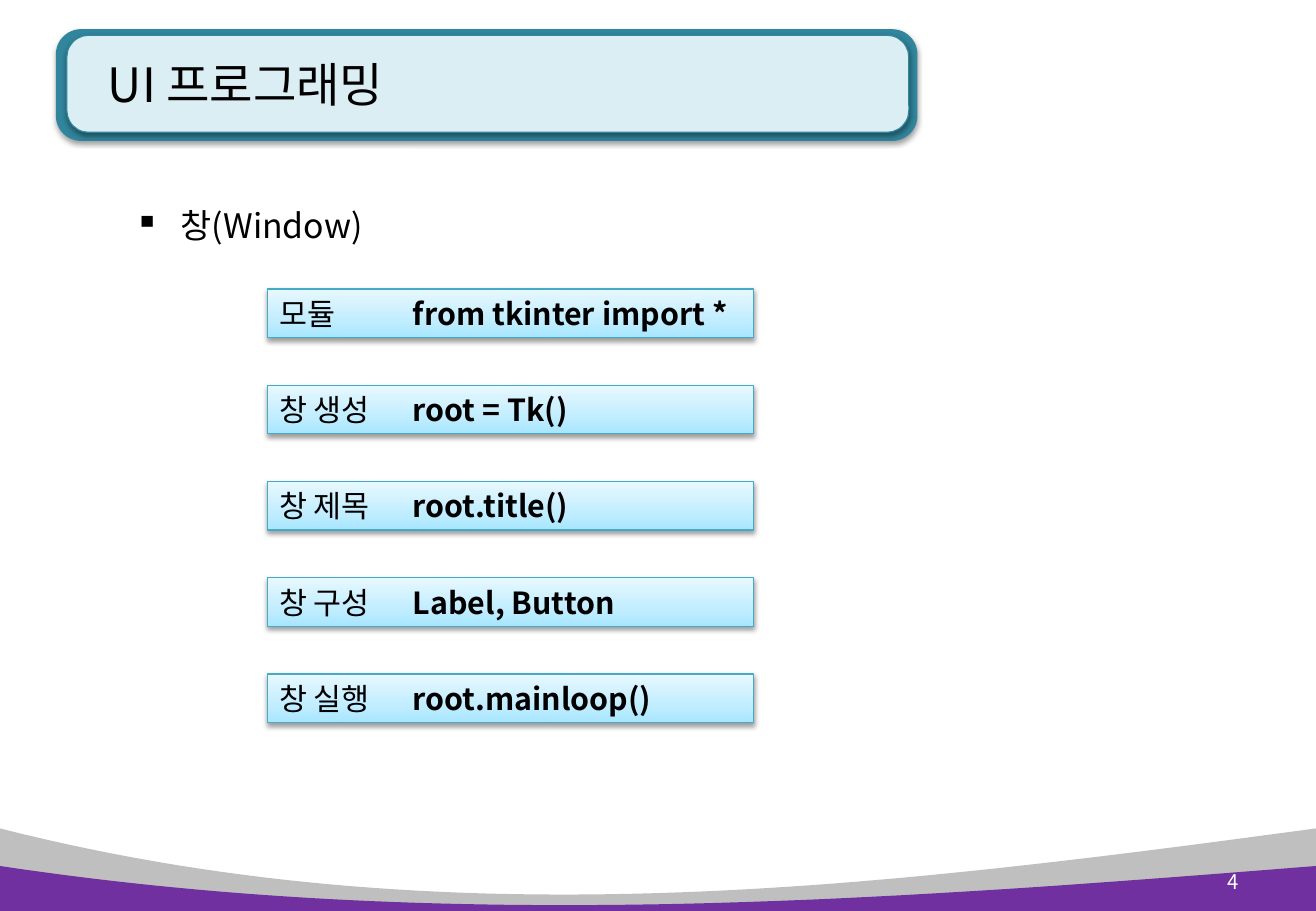
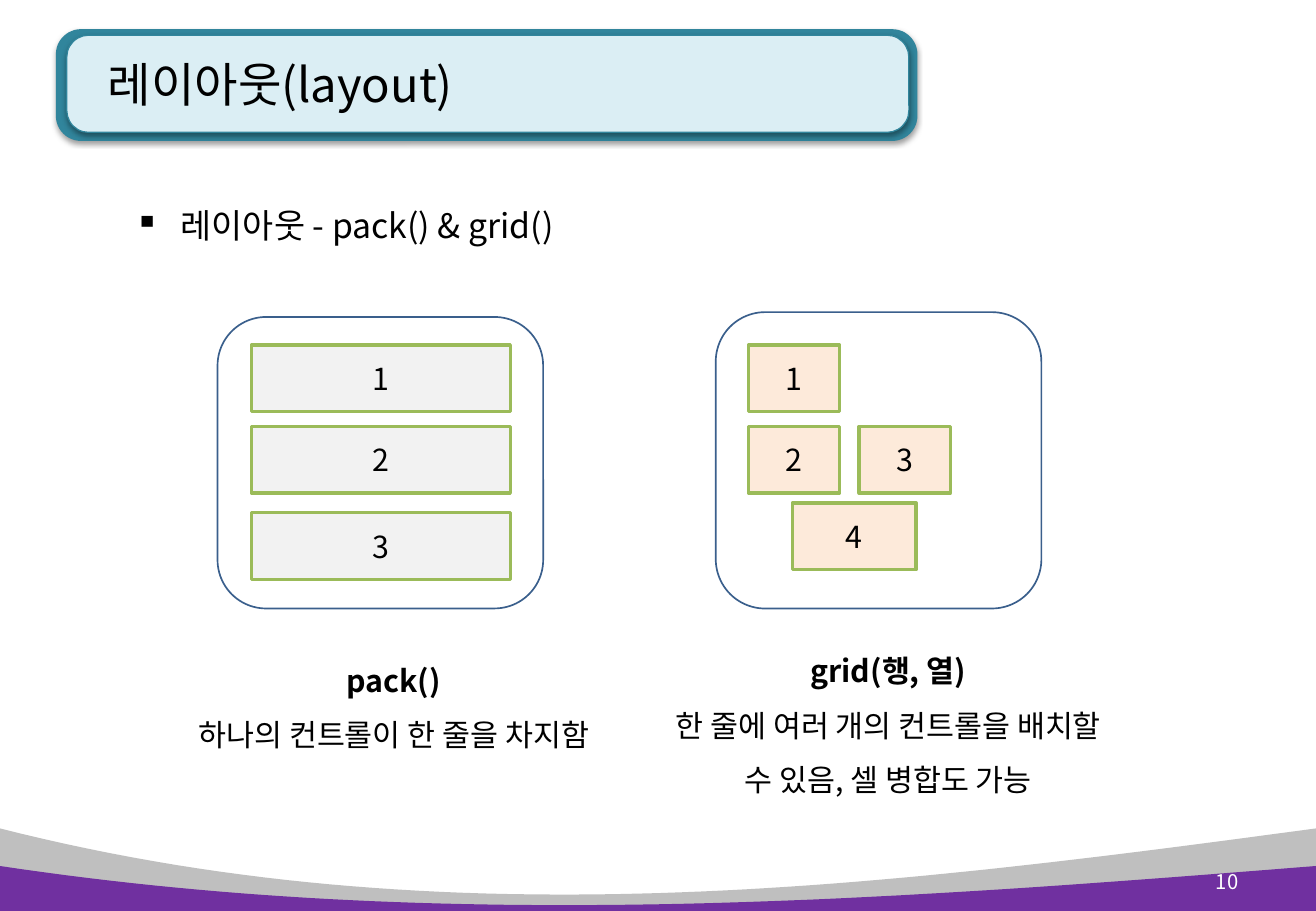
from copy import deepcopy

from lxml import etree
from pptx import Presentation
from pptx.dml.color import RGBColor
from pptx.enum.shapes import MSO_SHAPE
from pptx.enum.text import MSO_ANCHOR, MSO_AUTO_SIZE, PP_ALIGN
from pptx.oxml.ns import qn
from pptx.util import Emu, Inches, Pt

RECTANGLE = MSO_SHAPE.RECTANGLE
ROUNDED = MSO_SHAPE.ROUNDED_RECTANGLE
TOP, MIDDLE = MSO_ANCHOR.TOP, MSO_ANCHOR.MIDDLE
LEFT, CENTER, RIGHT = PP_ALIGN.LEFT, PP_ALIGN.CENTER, PP_ALIGN.RIGHT
GROW, FIXED = MSO_AUTO_SIZE.SHAPE_TO_FIT_TEXT, MSO_AUTO_SIZE.NONE

WIDTH, HEIGHT = 10.83, 7.5
FONT = "Noto Sans CJK KR"
BLACK, WHITE = "000000", "FFFFFF"
TEAL, PALE_TEAL = "31859C", "DBEEF4"
GRAY, PURPLE = "BFBFBF", "7030A0"
CODE_LINE, FRAME_LINE, CONTROL_LINE = "46AAC5", "3A5F8C", "9BBB59"
PACK_FILL, GRID_FILL = "F2F2F2", "FDEADA"
CODE_GRADIENT = [(0, "A7E6FF"), (0.35, "C1EDFF"), (1, "E7F8FF")]


def color(value):
    return RGBColor.from_string(value)


def add_element(parent, tag, **attributes):
    element = etree.SubElement(parent, qn(tag))
    for name, value in attributes.items():
        element.set(name, str(value))
    return element


def write_text(shape, paragraphs, size=18, text_color=BLACK, align=LEFT,
               anchor=TOP, grow=False, spacing=None, bullet=None, tab=None):
    frame = shape.text_frame
    frame.word_wrap = True
    frame.auto_size = GROW if grow else FIXED
    frame.vertical_anchor = anchor
    for index, runs in enumerate(paragraphs):
        paragraph = frame.add_paragraph() if index else frame.paragraphs[0]
        properties = paragraph._p.get_or_add_pPr()
        if bullet:
            indent = Inches(0.38)
            properties.set("marL", str(indent))
            properties.set("indent", str(-indent))
            add_element(properties, "a:buChar", char=bullet)
        if tab:
            tabs = add_element(properties, "a:tabLst")
            add_element(tabs, "a:tab", pos=Inches(tab), algn="l")
        paragraph.alignment = align
        if spacing:
            paragraph.line_spacing = spacing
        for text, bold in runs:
            run = paragraph.add_run()
            run.text = text
            run.font.size = Pt(size)
            run.font.bold = bold
            run.font.color.rgb = color(text_color)
            run.font.name = FONT
            add_element(run._r.get_or_add_rPr(), "a:ea", typeface=FONT)


class Deck:
    def __init__(self):
        self.presentation = Presentation()
        self.presentation.slide_width = Inches(WIDTH)
        self.presentation.slide_height = Inches(HEIGHT)
        self.slide = None

    def start_slide(self, title, topic, number):
        layout = self.presentation.slide_layouts[6]
        self.slide = self.presentation.slides.add_slide(layout)
        self.wave(6.82, 7.75, 7.31, GRAY)
        self.wave(7.13, 7.68, 7.42, PURPLE)
        self.box(0.46, 0.24, 7.09, 0.92, ROUNDED, TEAL, shadow=True, radius=0.225)
        self.box(0.55, 0.29, 6.93, 0.8, ROUNDED, PALE_TEAL, TEAL, 0.75,
                 shadow=True, radius=0.225)
        self.text(0.79, 0.22, 6.68, 0.94, [[(title, False)]], size=28, anchor=MIDDLE)
        self.text(9.68, 7.06, 0.61, 0.4, [[(number, False)]], size=12,
                  text_color=WHITE, align=RIGHT, anchor=MIDDLE)
        self.text(1.01, 1.47, 8.82, 0.6, [[(topic, False)]], size=20,
                  spacing=1.5, bullet="▪", grow=True)

    def wave(self, edge, first_control, second_control, fill):
        points = []
        steps = 60
        for step in range(steps + 1):
            t = step / steps
            weights = ((1 - t) ** 3, 3 * t * (1 - t) ** 2, 3 * t ** 2 * (1 - t), t ** 3)
            xs = (0, 3.65, 7.2, WIDTH)
            ys = (edge, first_control, second_control, edge)
            points.append(tuple(Inches(sum(w * v for w, v in zip(weights, values)))
                                for values in (xs, ys)))
        points += [(Inches(WIDTH), Inches(HEIGHT)), (0, Inches(HEIGHT))]
        builder = self.slide.shapes.build_freeform(*points[0], scale=1.0)
        builder.add_line_segments(points[1:], close=True)
        self.style(builder.convert_to_shape(), fill)

    def style(self, shape, fill=None, line=None, line_width=1, shadow=False):
        shape.shadow.inherit = False
        if fill:
            shape.fill.solid()
            shape.fill.fore_color.rgb = color(fill)
        else:
            shape.fill.background()
        if line:
            shape.line.color.rgb = color(line)
            shape.line.width = Pt(line_width)
        else:
            shape.line.fill.background()
        if shadow:
            effects = shape._element.spPr.find(qn("a:effectLst"))
            outer = add_element(effects, "a:outerShdw", blurRad=Pt(3.1), dist=Pt(1.6),
                                dir=90 * 60000, rotWithShape=0)
            shade = add_element(outer, "a:srgbClr", val=BLACK)
            add_element(shade, "a:alpha", val=38000)

    def box(self, left, top, width, height, kind=RECTANGLE, fill=None, line=None,
            line_width=1, shadow=False, radius=None):
        shape = self.slide.shapes.add_shape(
            kind, Inches(left), Inches(top), Inches(width), Inches(height))
        if radius:
            shape.adjustments[0] = radius
        self.style(shape, fill, line, line_width, shadow)
        return shape

    def text(self, left, top, width, height, paragraphs, **text_format):
        shape = self.slide.shapes.add_textbox(
            Inches(left), Inches(top), Inches(width), Inches(height))
        write_text(shape, paragraphs, **text_format)

    def code_row(self, top, label, code):
        shape = self.box(2.2, top, 4, 0.4, line=CODE_LINE, line_width=0.75, shadow=True)
        shape.fill.gradient()
        shape.fill.gradient_angle = 90
        stop_list = shape._element.spPr.find(qn("a:gradFill")).find(qn("a:gsLst"))
        stop_list.append(deepcopy(stop_list[0]))
        for stop, (position, value) in zip(shape.fill.gradient_stops, CODE_GRADIENT):
            stop.position = position
            stop.color.rgb = color(value)
        write_text(shape, [[(label + "\t", False), (code, True)]], tab=1.1, grow=True)

    def control(self, left, top, width, label, fill):
        shape = self.box(left, top, width, 0.55, fill=fill, line=CONTROL_LINE, line_width=2)
        write_text(shape, [[(label, False)]], align=CENTER, anchor=MIDDLE)

    def frame(self, left, top, height):
        self.box(left, top, 2.68, height, ROUNDED, line=FRAME_LINE)

    def caption(self, left, top, width, height, heading, description):
        self.text(left, top, width, height, [[(heading, True)], [(description, False)]],
                  align=CENTER, spacing=1.5, grow=True)


def build_window_slide(deck):
    deck.start_slide("UI 프로그래밍", "창(Window)", "4")
    rows = [
        ("모듈", "from tkinter import *"),
        ("창 생성", "root = Tk()"),
        ("창 제목", "root.title()"),
        ("창 구성", "Label, Button"),
        ("창 실행", "root.mainloop()"),
    ]
    for index, (label, code) in enumerate(rows):
        deck.code_row(2.38 + index * 0.7925, label, code)


def build_layout_slide(deck):
    deck.start_slide("레이아웃(layout)", "레이아웃 - pack() & grid()", "10")
    deck.frame(1.79, 2.61, 2.4)
    for label, top in (("1", 2.84), ("2", 3.51), ("3", 4.22)):
        deck.control(2.07, top, 2.13, label, PACK_FILL)
    deck.caption(1.23, 5.25, 4.02, 1.01, "pack()", "하나의 컨트롤이 한 줄을 차지함")

    deck.frame(5.89, 2.57, 2.44)
    grid_controls = [
        ("1", 6.16, 2.84, 0.75),
        ("2", 6.16, 3.51, 0.75),
        ("3", 7.07, 3.51, 0.75),
        ("4", 6.52, 4.14, 1.02),
    ]
    for label, left, top, width in grid_controls:
        deck.control(left, top, width, label, GRID_FILL)
    deck.caption(5.34, 5.17, 3.94, 1.46, "grid(행, 열)",
                 "한 줄에 여러 개의 컨트롤을 배치할 수 있음, 셀 병합도 가능")


def main():
    deck = Deck()
    build_window_slide(deck)
    build_layout_slide(deck)
    deck.presentation.save("out.pptx")


if __name__ == "__main__":
    main()
